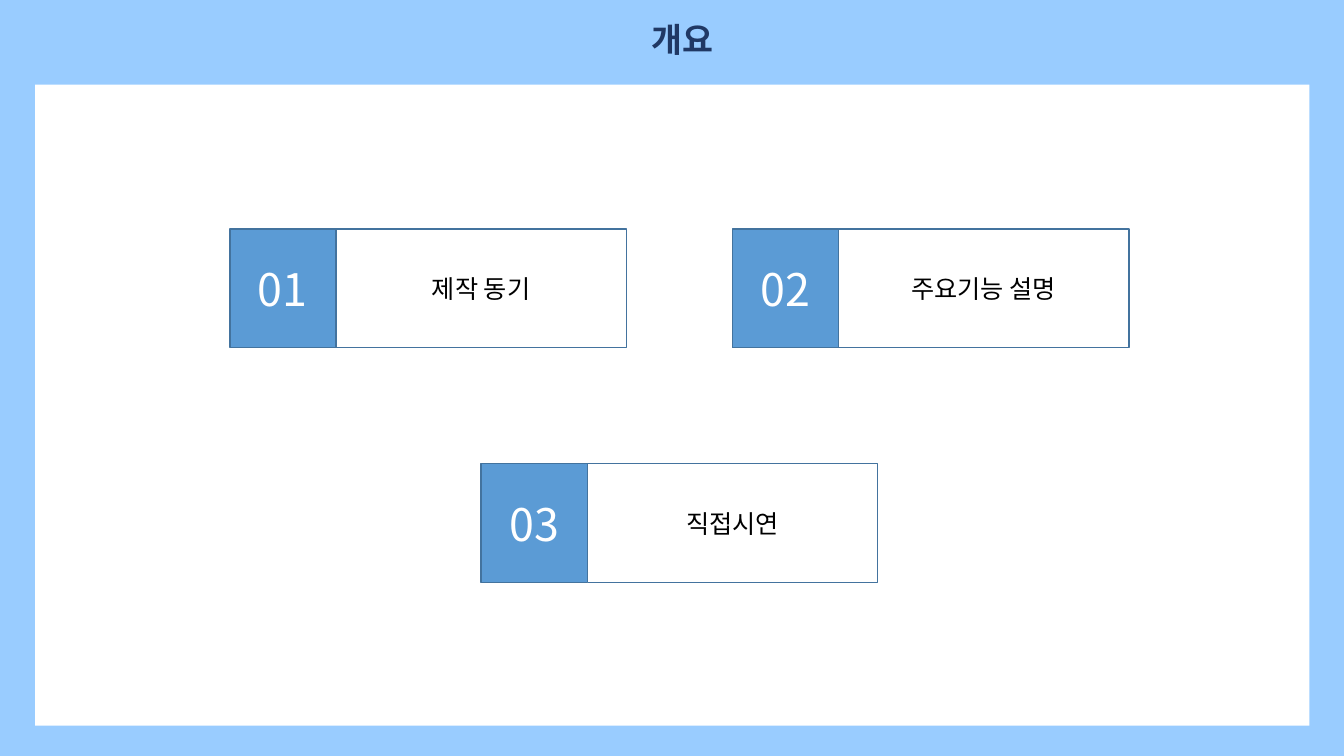
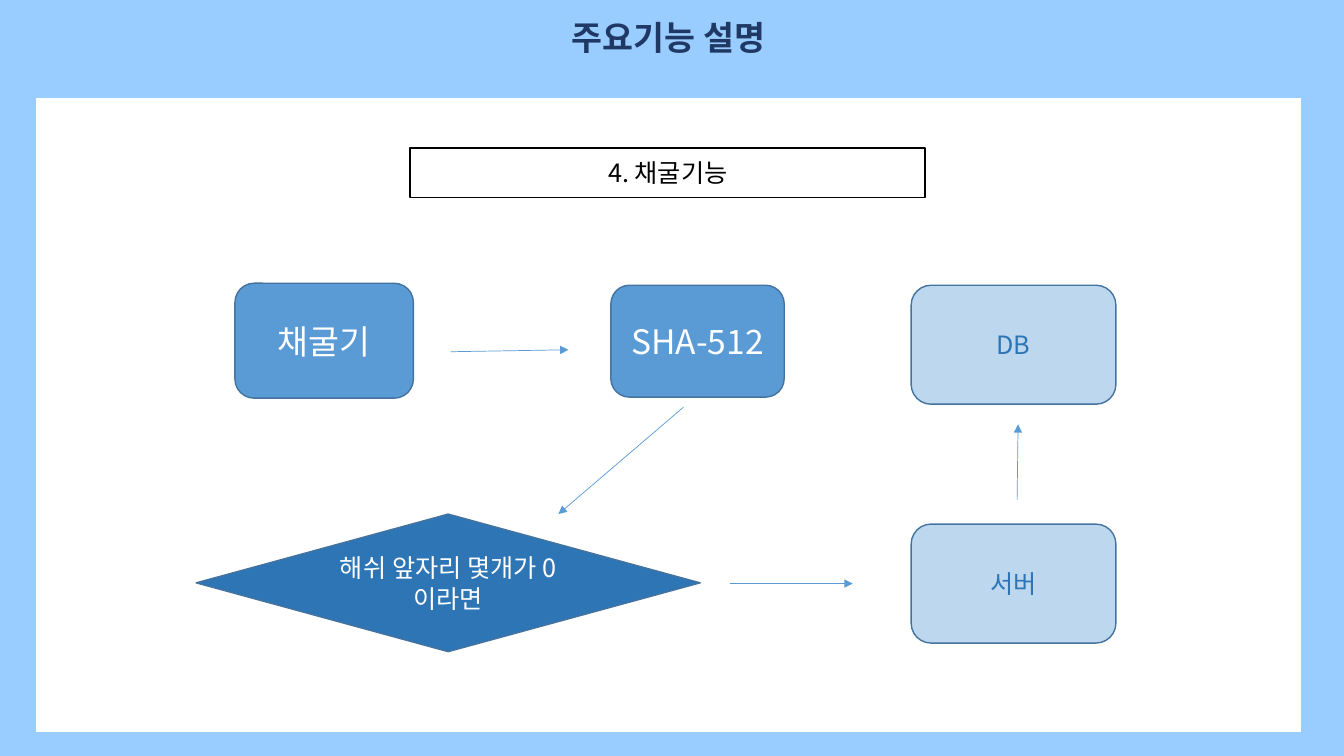
from lxml.etree import SubElement
from pptx import Presentation
from pptx.dml.color import RGBColor
from pptx.enum.shapes import MSO_CONNECTOR, MSO_SHAPE
from pptx.enum.text import MSO_ANCHOR, MSO_AUTO_SIZE, PP_ALIGN
from pptx.oxml.ns import qn
from pptx.util import Inches, Pt

WIDTH, HEIGHT = Inches(13.333), Inches(7.5)
FONT = "Noto Sans CJK KR"
SKY, NAVY, WHITE, BLACK = "99CCFF", "203864", "FFFFFF", "000000"
BLUE, DEEP_BLUE, PALE_BLUE, OUTLINE = "5B9BD5", "2E75B6", "BDD7EE", "43739E"

AGENDA_LEFT, AGENDA_TOP = 17.1, 30.27
COLUMN_STEP, ROW_STEP = 18.7, 31.07
NUMBER_WIDTH, LABEL_WIDTH, AGENDA_HEIGHT = 7.9, 21.6, 15.73
AGENDA = [("01", "제작 동기", 0, 0), ("02", "주요기능 설명", 2, 0), ("03", "직접시연", 1, 1)]


def color(value):
    return RGBColor.from_string(value)


def across(percent):
    return round(WIDTH * percent / 100)


def down(percent):
    return round(HEIGHT * percent / 100)


def area(left, top, width, height):
    return across(left), down(top), across(width), down(height)


def write(shape, text, size, ink, bold=False):
    frame = shape.text_frame
    frame.word_wrap = True
    frame.text = text
    para = frame.paragraphs[0]
    para.alignment = PP_ALIGN.CENTER
    span = para.runs[0]
    span.font.size = Pt(size)
    span.font.bold = bold
    span.font.name = FONT
    span.font.color.rgb = color(ink)
    SubElement(span.font._element, qn("a:ea")).set("typeface", FONT)


def add_box(page, kind, place, fill, line=OUTLINE, line_width=1):
    box = page.shapes.add_shape(kind, *area(*place))
    box.shadow.inherit = False
    box.fill.solid()
    box.fill.fore_color.rgb = color(fill)
    if line:
        box.line.color.rgb = color(line)
        box.line.width = Pt(line_width)
    else:
        box.line.fill.background()
    return box


def add_label_box(page, kind, place, fill, text, size, ink, inset=None, **outline):
    box = add_box(page, kind, place, fill, **outline)
    write(box, text, size, ink)
    frame = box.text_frame
    frame.vertical_anchor = MSO_ANCHOR.MIDDLE
    if inset is not None:
        frame.margin_left = frame.margin_right = Inches(inset)
        frame.margin_top = frame.margin_bottom = Inches(inset)


def add_arrow(page, start, end):
    arrow = page.shapes.add_connector(
        MSO_CONNECTOR.STRAIGHT,
        across(start[0]), down(start[1]), across(end[0]), down(end[1]))
    arrow.line.color.rgb = color(BLUE)
    arrow.line.width = Pt(0.5)
    SubElement(arrow.line._get_or_add_ln(), qn("a:tailEnd")).set("type", "triangle")
    SubElement(arrow._element.spPr, qn("a:effectLst"))


def add_page(deck, title, title_place, panel_kind, panel_place, **outline):
    page = deck.slides.add_slide(deck.slide_layouts[6])
    add_box(page, panel_kind, panel_place, WHITE, **outline)
    heading = page.shapes.add_textbox(*area(*title_place))
    write(heading, title, 24, NAVY, bold=True)
    heading.text_frame.auto_size = MSO_AUTO_SIZE.SHAPE_TO_FIT_TEXT
    return page


def add_agenda_item(page, number, label, column, row):
    left = AGENDA_LEFT + column * COLUMN_STEP
    top = AGENDA_TOP + row * ROW_STEP
    process = MSO_SHAPE.FLOWCHART_PROCESS
    add_label_box(page, process, (left, top, NUMBER_WIDTH, AGENDA_HEIGHT),
                  BLUE, number, 32, WHITE, inset=0.04)
    add_label_box(page, process, (left + NUMBER_WIDTH, top, LABEL_WIDTH, AGENDA_HEIGHT),
                  WHITE, label, 18, BLACK, inset=0.04)


def build_overview(deck):
    page = add_page(deck, "개요", (32.62, 1.87, 36.38, 6.67),
                    MSO_SHAPE.RECTANGLE, (2.62, 11.2, 94.8, 84.8), line=None)
    for item in AGENDA:
        add_agenda_item(page, *item)


def build_mining(deck):
    process, rounded = MSO_SHAPE.FLOWCHART_PROCESS, MSO_SHAPE.ROUNDED_RECTANGLE
    page = add_page(deck, "주요기능 설명", (35.78, 1.6, 27.9, 6.67),
                    process, (2.48, 12.67, 94.5, 84.53), line=SKY, line_width=3.75)
    add_label_box(page, process, (30.53, 19.6, 38.32, 6.53), WHITE,
                  "4. 채굴기능", 18, BLACK, line=BLACK, line_width=1.25)
    steps = [
        (rounded, (17.48, 37.47, 13.28, 15.2), BLUE, "채굴기", 24, WHITE),
        (rounded, (45.45, 37.73, 12.9, 14.8), BLUE, "SHA-512", 24, WHITE),
        (MSO_SHAPE.DIAMOND, (14.6, 68, 37.5, 18.2), DEEP_BLUE,
         "해쉬 앞자리 몇개가 0이라면", 18, WHITE),
        (rounded, (67.8, 69.33, 15.23, 15.73), PALE_BLUE, "서버", 18, DEEP_BLUE),
        (rounded, (67.8, 37.73, 15.23, 15.73), PALE_BLUE, "DB", 18, DEEP_BLUE),
    ]
    for step in steps:
        add_label_box(page, *step)
    arrows = [
        ((33.53, 46.53), (42.3, 46.27)),
        ((50.85, 53.87), (41.55, 68)),
        ((54.3, 77.2), (63.45, 77.2)),
        ((75.68, 66.13), (75.75, 56.13)),
    ]
    for start, end in arrows:
        add_arrow(page, start, end)


def main():
    deck = Presentation()
    deck.slide_width, deck.slide_height = WIDTH, HEIGHT
    backdrop = deck.slide_master.background.fill
    backdrop.solid()
    backdrop.fore_color.rgb = color(SKY)
    build_overview(deck)
    build_mining(deck)
    deck.save("out.pptx")


if __name__ == "__main__":
    main()
